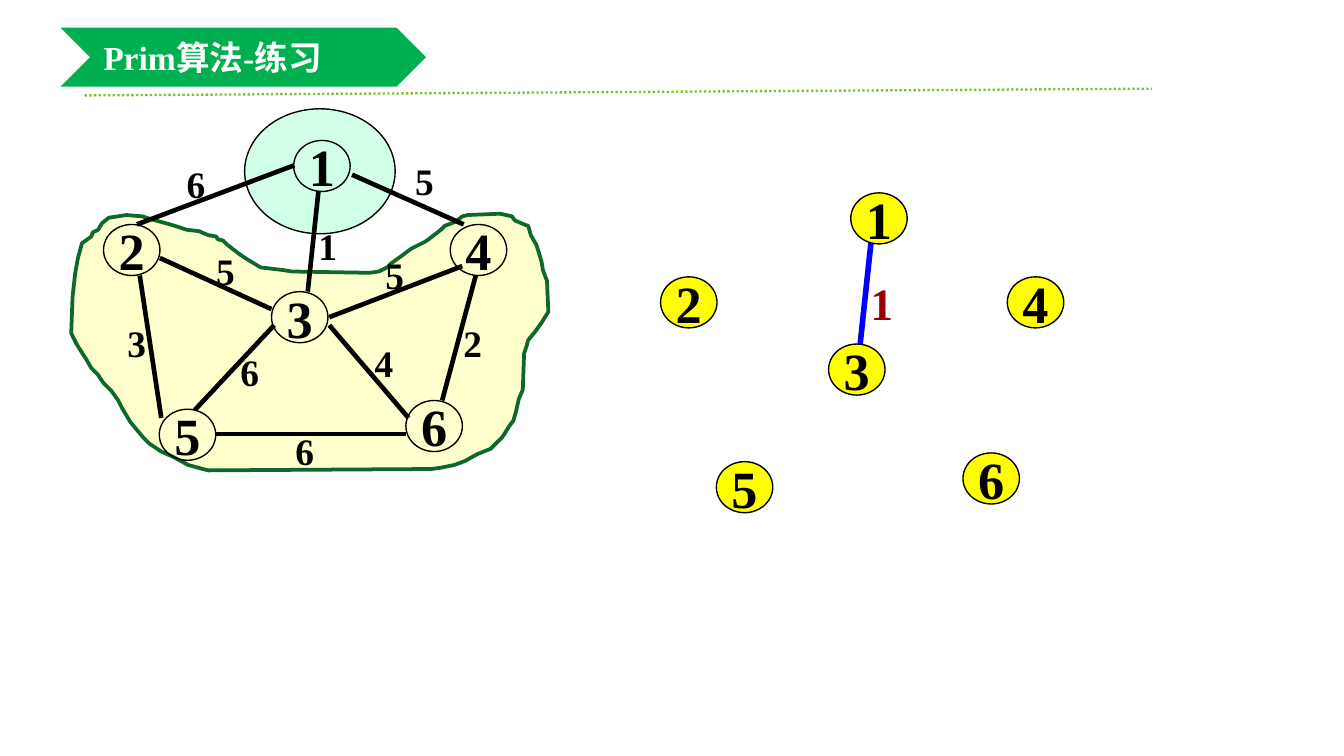
from dataclasses import dataclass

import pptx
from lxml import etree
from pptx import util as u
from pptx.dml import color
from pptx.enum import dml, shapes, text
from pptx.oxml import ns


@dataclass(frozen=True)
class Theme:
    """Colours, type sizes and the font of the slide."""

    font: str = "Times New Roman"
    ink: str = "000000"
    white: str = "FFFFFF"
    banner: str = "00B050"
    rule: str = "7EC234"
    visited: str = "99FFCC"
    unvisited: str = "FFFF66"
    boundary: str = "0D682C"
    tree_node: str = "FFFF00"
    tree_edge: str = "0000FF"
    tree_weight: str = "990000"
    title_size: int = 18
    weight_size: int = 20
    tree_weight_size: int = 24
    node_size: int = 28


THEME = Theme()
WIDTH = u.Inches(10)
HEIGHT = u.Emu(WIDTH * 9 // 16)
COLUMNS = 100
CELL = WIDTH / COLUMNS
NODE_WIDTH, NODE_HEIGHT = 4.2, 3.8
TREE_OFFSET = (41.45, 3.9)

NODES = {
    "1": (21.85, 10.45), "3": (20.2, 21.7), "2": (7.7, 16.7),
    "4": (33.5, 16.7), "5": (11.85, 30.45), "6": (30.2, 29.8),
}
EDGES = [
    ("5", (26.2, 13), (34.5, 16.7), (29.9, 11.3)),
    ("5", (11.9, 19.2), (20.2, 23), (15.1, 18)),
    ("5", (24.5, 23.6), (34.4, 19.8), (27.7, 18.3)),
    ("1", (23.7, 14.2), (22.9, 21.7), (22.7, 16.1)),
    ("3", (10.4, 20.5), (12, 31.1), (8.5, 23.3)),
    ("6", (14.5, 30.5), (20.4, 24.2), (16.9, 25.5)),
    ("4", (24.5, 24.2), (30.4, 31.1), (26.9, 24.8)),
    ("2", (35.4, 20.5), (32.9, 29.8), (33.5, 23.3)),
    ("6", (16, 32.3), (30.2, 32.3), (21, 31.4)),
    ("6", (10.2, 16.7), (21.9, 12.3), (12.9, 11.5)),
]
BOUNDARY = [
    (16.1, 17.6), (15.5, 17.5), (14.8, 17.2), (13.9, 17.1), (13, 16.8),
    (12.3, 16.6), (11.2, 16.3), (10.6, 16.1), (9.4, 16), (8.1, 16.2),
    (7.6, 16.6), (7.3, 17.1), (6.9, 17.3), (6.8, 17.6), (6.1, 18.1),
    (5.8, 19.2), (5.6, 20.3), (5.4, 22.1), (5.3, 24.8), (5.7, 25.6),
    (6.2, 26.4), (6.4, 26.7), (6.8, 27.4), (7.3, 27.9), (7.7, 28.5),
    (8.3, 29.1), (8.8, 29.8), (9.1, 30.4), (9.7, 31.4), (10.2, 32),
    (10.7, 32.6), (11.1, 33), (12, 33.6), (12.9, 34), (14, 34.6),
    (15.1, 34.9), (15.5, 35), (32.1, 34.9), (32.8, 34.8), (33.8, 34.6),
    (34.6, 34.3), (35.5, 33.8), (36.5, 33.4), (37.1, 32.8), (37.4, 32.5),
    (37.9, 31.7), (38.2, 31.3), (38.4, 30.6), (38.6, 29.7), (38.9, 29),
    (39, 26.3), (39.2, 25.7), (39.3, 25.3), (39.8, 24.7), (40.3, 24),
    (40.8, 23.2), (40.7, 20.9), (40.4, 20.1), (40.3, 19.5), (40.1, 18.8),
    (39.9, 18.2), (39.5, 17.5), (39.3, 16.8), (39, 16.7), (38.3, 16.4),
    (38.1, 16.1), (37.2, 15.9), (34.8, 16), (34.4, 16.1), (33.9, 16.5),
    (33.1, 16.8), (32.8, 17.1), (31.9, 17.8), (31.6, 18), (30.6, 18.5),
    (29.8, 19.1), (29.1, 19.6), (28.8, 19.9), (28.2, 20.2), (27.5, 20.3),
    (21.7, 20.2), (21.1, 20.1), (19.4, 19.9), (18.4, 19.3), (17.8, 18.9),
    (16.9, 18.2), (16.6, 17.9), (16.2, 17.8),
]


def grid(*cells):
    """Turn grid cells into slide lengths."""
    return [u.Emu(round(cell * CELL)) for cell in cells]


def rgb(value):
    """Turn a hex string into a colour."""
    return color.RGBColor.from_string(value)


def assign(target, values):
    """Set every attribute named in values."""
    for name, value in values.items():
        setattr(target, name, value)


def paint_line(line, hue, width):
    """Give an outline its colour and width."""
    line.color.rgb = rgb(hue)
    line.width = u.Pt(width)


def paint(shape, fill=None, opacity=None, outline=None, width=0.75):
    """Set the fill, opacity and outline of a shape."""
    shape.shadow.inherit = False
    if fill:
        shape.fill.solid()
        shape.fill.fore_color.rgb = rgb(fill)
    else:
        shape.fill.background()
    if opacity:
        hue = shape.element.spPr.find(ns.qn("a:solidFill"))[0]
        etree.SubElement(hue, ns.qn("a:alpha"), val=str(opacity * 1000))
    if outline:
        paint_line(shape.line, outline, width)
    else:
        shape.line.fill.background()


def write(shape, words, size, hue, alignment=text.PP_ALIGN.LEFT, **frame_values):
    """Put one bold paragraph into a shape."""
    assign(shape.text_frame, frame_values)
    paragraph = shape.text_frame.paragraphs[0]
    paragraph.text = words
    paragraph.alignment = alignment
    assign(paragraph.font, {"name": THEME.font, "size": u.Pt(size), "bold": True})
    paragraph.font.color.rgb = rgb(hue)


def add_preset(slide, kind, box, **look):
    """Add a painted preset shape."""
    shape = slide.shapes.add_shape(kind, *grid(*box))
    paint(shape, **look)
    return shape


def add_line(slide, start, end, hue, width, dash=None):
    """Add a straight line."""
    line = slide.shapes.add_connector(
        shapes.MSO_CONNECTOR.STRAIGHT, *grid(*start, *end))
    paint_line(line.line, hue, width)
    if dash:
        line.line.dash_style = dash
    etree.SubElement(line.element.spPr, ns.qn("a:effectLst"))


def add_nodes(slide, offset=(0, 0), fill=None):
    """Add the six numbered nodes, moved by an offset."""
    for number, (left, top) in NODES.items():
        box = (left + offset[0], top + offset[1], NODE_WIDTH, NODE_HEIGHT)
        node = add_preset(slide, shapes.MSO_SHAPE.OVAL, box, fill=fill, outline=THEME.ink)
        write(node, number, THEME.node_size, THEME.ink, text.PP_ALIGN.CENTER,
              word_wrap=False, vertical_anchor=text.MSO_ANCHOR.MIDDLE)


def add_weight(slide, weight, box, size, hue):
    """Add the weight of an edge."""
    label = slide.shapes.add_textbox(*grid(*box))
    write(label, weight, size, hue, word_wrap=False,
          auto_size=text.MSO_AUTO_SIZE.SHAPE_TO_FIT_TEXT)


def add_boundary(slide):
    """Add the region around the unvisited nodes."""
    points = [grid(*point) for point in BOUNDARY]
    builder = slide.shapes.build_freeform(*points[0])
    builder.add_line_segments(points[1:], close=True)
    paint(builder.convert_to_shape(), THEME.unvisited, 32, THEME.boundary, 2)


def add_tree(slide):
    """Add the spanning tree found so far."""
    add_nodes(slide, TREE_OFFSET, THEME.tree_node)
    add_line(slide, (64.8, 18.1), (64, 25.6), THEME.tree_edge, 3)
    add_weight(slide, "1", (63.8, 20, 3.7, 5.1), THEME.tree_weight_size, THEME.tree_weight)


def add_title(slide):
    """Add the title banner."""
    banner = add_preset(slide, shapes.MSO_SHAPE.CHEVRON, (4.5, 2.05, 27.2, 4.4), fill=THEME.banner)
    write(banner, "Prim算法-练习", THEME.title_size, THEME.white,
          vertical_anchor=text.MSO_ANCHOR.MIDDLE)


def add_graph(slide):
    """Add the weighted graph."""
    add_nodes(slide)
    for weight, start, end, corner in EDGES:
        add_line(slide, start, end, THEME.ink, 2.5)
        add_weight(slide, weight, (*corner, 3.4, 4.4), THEME.weight_size, THEME.ink)


def main():
    """Build and save the slide."""
    presentation = pptx.Presentation()
    assign(presentation, {"slide_width": WIDTH, "slide_height": HEIGHT})
    slide = presentation.slides.add_slide(presentation.slide_layouts[6])
    add_line(slide, (6.3, 7.1), (85.7, 6.6), THEME.rule, 1.25, dml.MSO_LINE.ROUND_DOT)
    add_boundary(slide)
    add_preset(slide, shapes.MSO_SHAPE.OVAL, (18.2, 8.1, 11.2, 9.3),
               fill=THEME.visited, opacity=44, outline=THEME.ink)
    add_tree(slide)
    add_title(slide)
    add_graph(slide)
    presentation.save("out.pptx")


if __name__ == "__main__":
    main()
